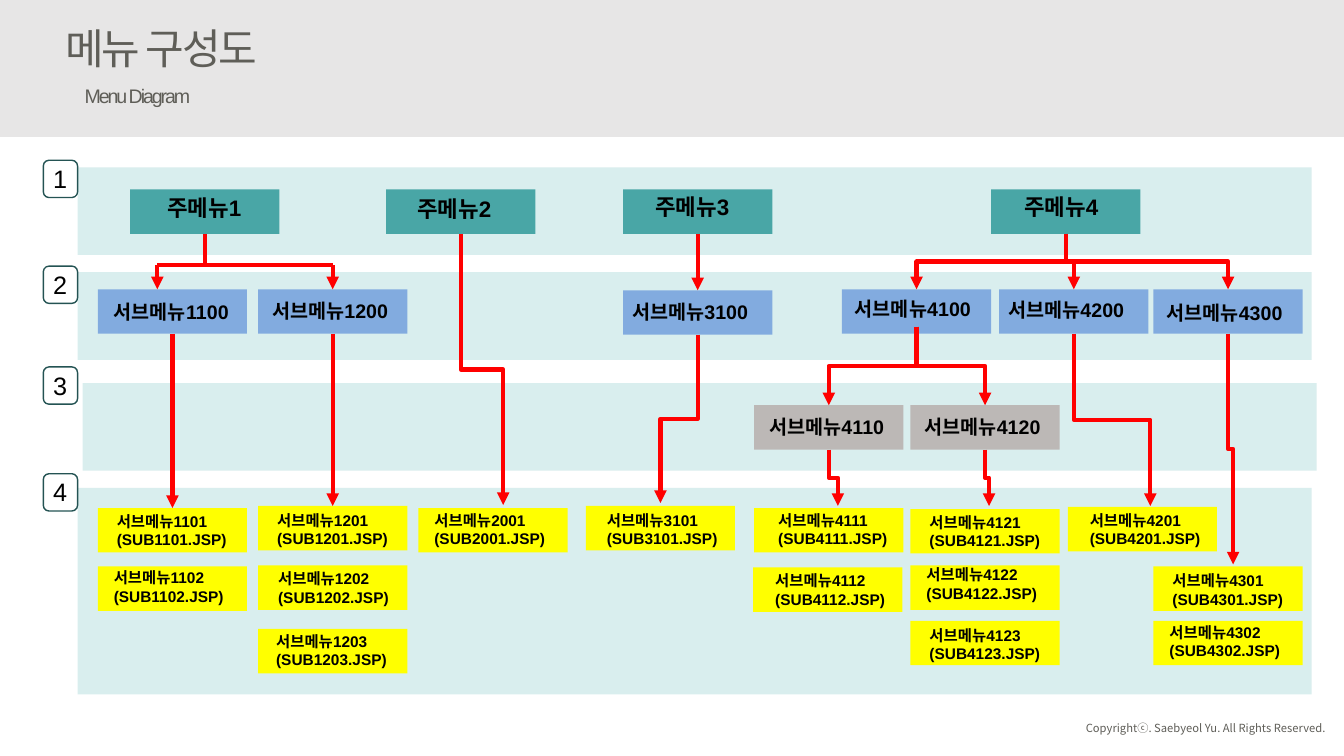
import pptx
import pptx.util
import pptx.dml.color
import pptx.enum.shapes
import pptx.enum.text
import pptx.oxml
import pptx.oxml.ns

Inches = pptx.util.Inches
RGBColor = pptx.dml.color.RGBColor
SHAPE = pptx.enum.shapes.MSO_SHAPE
LINE = pptx.enum.shapes.MSO_CONNECTOR
ALIGN = pptx.enum.text.PP_ALIGN
qn = pptx.oxml.ns.qn

BLACK = RGBColor(0x00, 0x00, 0x00)
GRAY = RGBColor(0x5F, 0x5E, 0x58)
HEADER = RGBColor(0xE7, 0xE6, 0xE6)
BAND = RGBColor(0xD9, 0xEE, 0xEE)
BADGE = RGBColor(0x24, 0x53, 0x53)
TEAL = RGBColor(0x49, 0xA6, 0xA6)
BLUE = RGBColor(0x82, 0xAB, 0xDF)
TAUPE = RGBColor(0xBC, 0xB8, 0xB6)
YELLOW = RGBColor(0xFF, 0xFF, 0x00)
RED = RGBColor(0xFF, 0x00, 0x00)

KOREAN = "Noto Sans CJK KR"
BOX_W, BOX_H = 1.48, 0.44

BANDS = [(0.77, 1.66, 0.87), (0.77, 2.7, 0.87), (0.82, 3.8, 0.87), (0.77, 4.84, 2.05)]
BADGE_TOPS = [1.59, 2.64, 3.64, 4.7]

MAIN = [
    ("1", 1.29, 1.88, 1.56, 1.88),
    ("2", 3.83, 1.88, 4.04, 1.89),
    ("3", 6.18, 1.88, 6.4, 1.87),
    ("4", 9.83, 1.88, 10.06, 1.87),
]
SUB = [
    ("1100", 0.97, 2.87, 1.03, 2.93),
    ("1200", 2.56, 2.87, 2.6, 2.92),
    ("3100", 6.18, 2.88, 6.17, 2.93),
    ("4100", 8.35, 2.87, 8.38, 2.9),
    ("4200", 9.91, 2.87, 9.9, 2.91),
    ("4300", 11.44, 2.87, 11.47, 2.94),
]
THIRD = [("4110", 7.48, 4.02, 7.53, 4.07), ("4120", 9.03, 4.02, 9.07, 4.07)]
PAGES = [
    ("1101", 0.97, 5.04, 1.06, 5.03),
    ("1102", 0.97, 5.62, 1.03, 5.59),
    ("1201", 2.56, 5.02, 2.65, 5.02),
    ("1202", 2.56, 5.61, 2.66, 5.6),
    ("1203", 2.56, 6.24, 2.64, 6.22),
    ("2001", 4.15, 5.04, 4.21, 5.02),
    ("3101", 5.81, 5.02, 5.92, 5.02),
    ("4111", 7.48, 5.04, 7.62, 5.02),
    ("4112", 7.47, 5.63, 7.59, 5.62),
    ("4121", 9.03, 5.05, 9.12, 5.04),
    ("4122", 9.03, 5.61, 9.09, 5.56),
    ("4123", 9.03, 6.16, 9.12, 6.16),
    ("4201", 10.59, 5.03, 10.71, 5.02),
    ("4301", 11.44, 5.62, 11.53, 5.62),
    ("4302", 11.44, 6.16, 11.5, 6.13),
]
ELBOWS = [
    (4.57, 2.32, 4.99, 5.01),
    (6.92, 3.32, 6.55, 4.99),
    (10.57, 2.32, 9.09, 2.87),
    (10.57, 2.32, 10.65, 2.87),
    (10.57, 2.32, 12.18, 2.87),
    (9.09, 3.24, 8.22, 4.02),
    (9.09, 3.24, 9.77, 4.02),
    (8.22, 4.46, 8.31, 5.02),
    (9.77, 4.46, 9.81, 5.02),
    (10.65, 3.31, 11.41, 5.02),
    (12.18, 3.31, 12.23, 5.6),
]


def add_box(slide, x, y, w, h, fill=None, line=None, kind=SHAPE.RECTANGLE):
    """Add a preset shape with an optional fill and outline."""
    s = slide.shapes.add_shape(kind, Inches(x), Inches(y), Inches(w), Inches(h))
    s.shadow.inherit = False
    if fill is None:
        s.fill.background()
    else:
        s.fill.solid()
        s.fill.fore_color.rgb = fill
    if line is None:
        s.line.fill.background()
    else:
        s.line.color.rgb = line
        s.line.width = pptx.util.Pt(1)
    return s


def add_text(slide, x, y, w, h, lines, size, color=BLACK, name="Arial",
             bold=False, spacing=0, wrap=True, align=ALIGN.LEFT):
    """Add a text box with one paragraph per line."""
    tf = slide.shapes.add_textbox(Inches(x), Inches(y), Inches(w), Inches(h)).text_frame
    tf.word_wrap = wrap
    tf.auto_size = pptx.enum.text.MSO_AUTO_SIZE.SHAPE_TO_FIT_TEXT
    for i, text in enumerate(lines):
        p = tf.add_paragraph() if i else tf.paragraphs[0]
        p.alignment = align
        r = p.add_run()
        r.text = text
        r.font.color.rgb = color
        for key, value in {"size": pptx.util.Pt(size), "name": name, "bold": bold}.items():
            setattr(r.font, key, value)
        rPr = r.font._element
        rPr.get_or_add_latin().addnext(
            pptx.oxml.parse_xml(f'<a:ea {pptx.oxml.ns.nsdecls("a")} typeface="{KOREAN}"/>'))
        if spacing:
            rPr.set("spc", str(int(spacing * 100)))


def add_line(slide, x1, y1, x2, y2, arrow=True, kind=LINE.STRAIGHT):
    """Add a red connector, with an arrowhead at its end if wanted."""
    c = slide.shapes.add_connector(kind, Inches(x1), Inches(y1), Inches(x2), Inches(y2))
    c.line.color.rgb = RED
    c.line.width = pptx.util.Pt(3)
    ns = pptx.oxml.ns.nsdecls("a")
    if arrow:
        c.line._get_or_add_ln().append(pptx.oxml.parse_xml(f'<a:tailEnd {ns} type="triangle"/>'))
    c._element.spPr.append(pptx.oxml.parse_xml(f"<a:effectLst {ns}/>"))
    return c


def add_elbow(slide, x1, y1, x2, y2):
    """Add an arrow that goes down, across at half height, and down again."""
    w, h = y2 - y1, abs(x2 - x1)
    left, top = (x1 + x2 - w) / 2, (y1 + y2 - h) / 2
    start, end, turn = (left, left + w, 90) if x2 < x1 else (left + w, left, 270)
    c = add_line(slide, start, top, end, top + h, kind=LINE.ELBOW)
    c._element.spPr.find(qn("a:xfrm")).set("rot", str(turn * 60000))


def add_menus(slide, menus, prefix, fill, size, w, h, page=False):
    """Add one level of menu boxes with labels and return the boxes by code."""
    boxes = {m[0]: add_box(slide, m[1], m[2], BOX_W, BOX_H, fill) for m in menus}
    for code, _, _, x, y in menus:
        lines = [prefix + code] + ([f"(SUB{code}.JSP)"] if page else [])
        add_text(slide, x, y, w, h, lines, size, bold=True)
    return boxes


def add_arrows(slide, boxes):
    """Add the arrows between the menu levels."""
    stem = add_line(slide, 2.03, 2.32, 2.03, 2.63, arrow=False)
    stem.begin_connect(boxes["1"], 2)
    add_line(slide, 1.56, 2.63, 3.3, 2.63, arrow=False)
    add_line(slide, 1.56, 2.63, 1.56, 2.87)
    add_line(slide, 3.3, 2.63, 3.3, 2.87).end_connect(boxes["1200"], 0)
    for upper, lower in [("1100", "1101"), ("1200", "1201"), ("3", "3100")]:
        c = add_line(slide, 0, 0, 1, 1)
        c.begin_connect(boxes[upper], 2)
        c.end_connect(boxes[lower], 0)
    for points in ELBOWS:
        add_elbow(slide, *points)


def main():
    """Build the menu diagram slide."""
    prs = pptx.Presentation()
    prs.slide_width, prs.slide_height = Inches(13.33), Inches(7.5)
    slide = prs.slides.add_slide(prs.slide_layouts[6])
    add_text(slide, 10.62, 7.11, 2.63, 0.24, ["Copyrightⓒ. Saebyeol Yu. All Rights Reserved."],
             8, GRAY, KOREAN, wrap=False, align=ALIGN.RIGHT)
    add_box(slide, 0, 0, 13.33, 1.36, HEADER)
    add_text(slide, 0.55, 0.17, 2.32, 0.61, ["메뉴 구성도"], 30, GRAY, KOREAN,
             spacing=-1.5, wrap=False)
    add_text(slide, 0.74, 0.78, 1.29, 0.34, ["Menu Diagram"], 14, GRAY, spacing=-1.5)
    for x, y, h in BANDS:
        add_box(slide, x, y, 12.24, h, BAND)
    for level, y in enumerate(BADGE_TOPS, 1):
        add_box(slide, 0.43, y, 0.34, 0.37, line=BADGE, kind=SHAPE.ROUNDED_RECTANGLE)
        add_text(slide, 0.43, y - 0.02, 0.34, 0.4, [str(level)], 18)
    boxes = add_menus(slide, MAIN, "주메뉴", TEAL, 16, 1.27, 0.37)
    boxes |= add_menus(slide, SUB, "서브메뉴", BLUE, 14, 1.42, 0.34)
    boxes |= add_menus(slide, THIRD, "서브메뉴", TAUPE, 14, 1.42, 0.34)
    boxes |= add_menus(slide, PAGES, "서브메뉴", YELLOW, 11, 1.48, 0.47, page=True)
    add_arrows(slide, boxes)
    prs.save("out.pptx")


if __name__ == "__main__":
    main()
